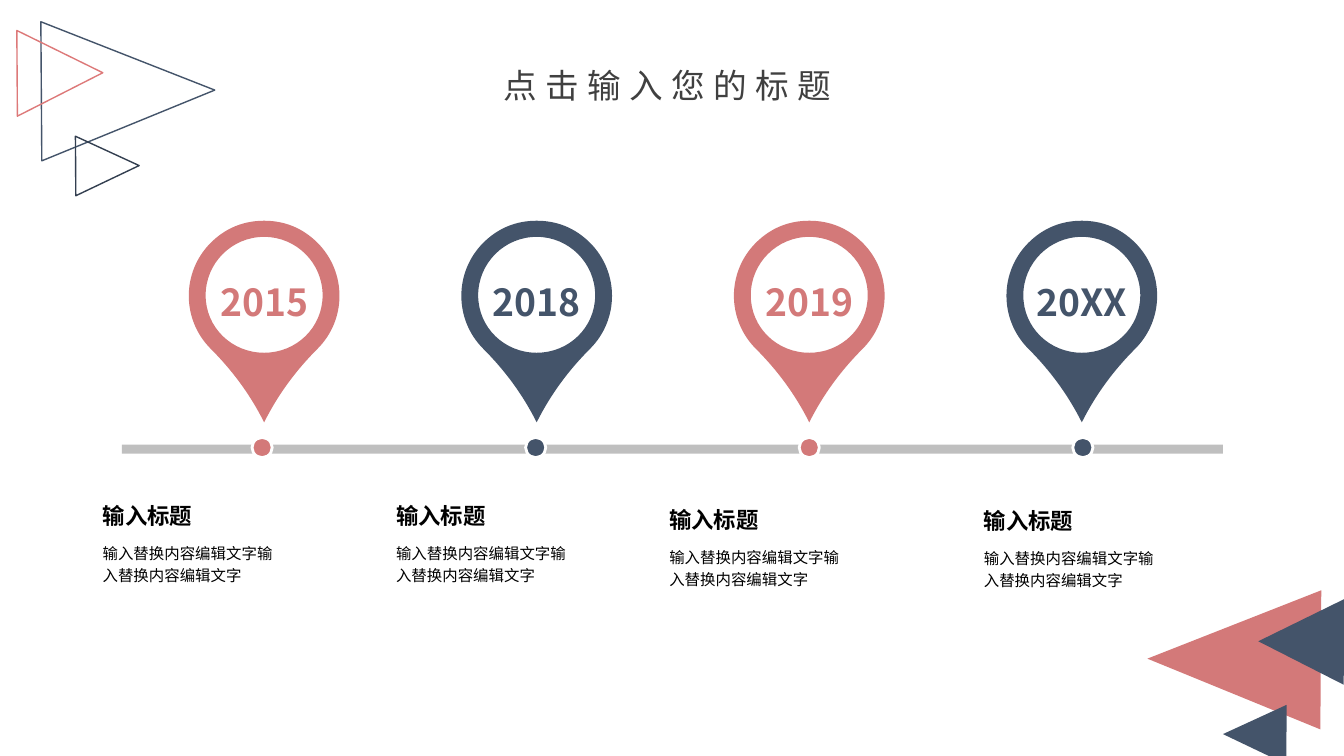
from lxml.etree import SubElement
from pptx import Presentation
from pptx.dml.color import RGBColor
from pptx.enum.shapes import MSO_SHAPE
from pptx.enum.text import MSO_ANCHOR, MSO_AUTO_SIZE, PP_ALIGN
from pptx.oxml.ns import qn
from pptx.util import Inches, Pt

FONT = "Noto Sans CJK SC"
ROSE = RGBColor(0xD3, 0x79, 0x79)
PINK = RGBColor(0xDD, 0x79, 0x79)
NAVY = RGBColor(0x44, 0x54, 0x6A)
DARK = RGBColor(0x33, 0x3F, 0x50)
GRAY = RGBColor(0xBF, 0xBF, 0xBF)
INK = RGBColor(0x40, 0x40, 0x40)
BLACK = RGBColor(0, 0, 0)
WHITE = RGBColor(255, 255, 255)

TITLE = "点击输入您的标题"
HEAD = "输入标题"
BODY = "输入替换内容编辑文字输入替换内容编辑文字"
STEPS = [
    ("2015", ROSE, 0.92, 4.93),
    ("2018", NAVY, 3.83, 4.93),
    ("2019", ROSE, 6.54, 4.97),
    ("20XX", NAVY, 9.66, 4.98),
]
SOLID = [
    ((11.55, 5.68, 1.38, 1.72), ROSE),
    ((12.15, 6.97, 0.59, 0.63), NAVY),
    ((12.48, 5.94, 0.85, 0.85), NAVY),
]
HOLLOW = [
    ((0.58, 0.04, 1.38, 1.72), NAVY),
    ((0.77, 1.33, 0.59, 0.63), DARK),
    ((0.17, 0.3, 0.85, 0.85), PINK),
]
HOLE = [
    (0, 16), (-32, 16), (-58, 42), (-58, 74), (-58, 106), (-32, 131), (0, 131),
    (32, 131), (58, 106), (58, 74), (58, 42), (32, 16), (0, 16),
]
RIM = [
    (0, 0), (20, 0), (38, 7), (53, 22), (82, 51), (82, 98), (53, 127),
    (32, 148), (14, 172), (0, 200), (-14, 172), (-32, 148), (-53, 127),
    (-82, 98), (-82, 51), (-53, 22), (-38, 7), (-20, 0), (0, 0),
]
PIN_W, PIN_H, PIN_TOP = 1.5, 2, 2.19
PIN_ENDS, DOT_ENDS = (1.87, 9.98), (2.5, 10.64)


def spread(ends, i):
    return ends[0] + (ends[1] - ends[0]) * i / (len(STEPS) - 1)


def paint(shape, fill=None, line=None, width=1):
    shape.shadow.inherit = False
    if fill is None:
        shape.fill.background()
    else:
        shape.fill.solid()
        shape.fill.fore_color.rgb = fill
    if line is None:
        shape.line.fill.background()
    else:
        shape.line.color.rgb = line
        shape.line.width = Pt(width)


def write(shape, text, size, color, bold=False, align=PP_ALIGN.LEFT):
    shape.text_frame.text = text
    para = shape.text_frame.paragraphs[0]
    para.alignment = align
    run = para.runs[0]
    font = run.font
    font.size, font.bold, font.name = Pt(size), bold, FONT
    font.color.rgb = color
    props = run._r.get_or_add_rPr()
    east = props.makeelement(qn("a:ea"), {"typeface": FONT})
    props.find(qn("a:latin")).addnext(east)
    return para, props


def inset(frame, side, bottom):
    frame.margin_left = frame.margin_right = Inches(side)
    frame.margin_top, frame.margin_bottom = 0, Inches(bottom)
    frame.vertical_anchor = MSO_ANCHOR.MIDDLE
    frame.word_wrap = True


def add(shapes, kind, box, turn=0, **look):
    shape = shapes.add_shape(kind, *map(Inches, box))
    shape.rotation = turn
    paint(shape, **look)


def put(parent, points):
    for x, y in points:
        SubElement(parent, qn("a:pt"), x=str(x + round(PIN_W * 50)), y=str(y))


def add_pin(shapes, left, year, color):
    x, y = Inches(left), Inches(PIN_TOP)
    right, low = x + Inches(PIN_W), y + Inches(PIN_H)
    form = shapes.build_freeform(x, y, scale=1.0)
    form.add_line_segments([(right, y), (right, low), (x, low)])
    pin = form.convert_to_shape()
    track = next(pin._element.iter(qn("a:path")))
    for part in list(track):
        track.remove(part)
    track.set("w", str(round(PIN_W * 100)))
    track.set("h", str(PIN_H * 100))
    for loop in (HOLE, RIM):
        put(SubElement(track, qn("a:moveTo")), loop[:1])
        for n in range(1, len(loop), 3):
            put(SubElement(track, qn("a:cubicBezTo")), loop[n:n + 3])
        SubElement(track, qn("a:close"))
    paint(pin, fill=color)
    inset(pin.text_frame, 0.1, 0.39)
    write(pin, year, 26.6, color, True, PP_ALIGN.CENTER)


def add_text(shapes, box, text, size, bold=False, space=None):
    label = shapes.add_textbox(*map(Inches, box))
    label.text_frame.word_wrap = True
    label.text_frame.auto_size = MSO_AUTO_SIZE.SHAPE_TO_FIT_TEXT
    para, _ = write(label, text, size, BLACK, bold)
    para.line_spacing = space


def main():
    deck = Presentation()
    deck.slide_width, deck.slide_height = Inches(13.33), Inches(7.5)
    slide = deck.slides.add_slide(deck.slide_layouts[5])
    shapes = slide.shapes

    title = shapes.title
    title.left, title.top = Inches(4.57), Inches(0.64)
    title.width, title.height = Inches(4.09), Inches(0.4)
    inset(title.text_frame, 0, 0)
    _, props = write(title, TITLE, 24, INK, align=PP_ALIGN.CENTER)
    props.set("spc", "600")

    add(shapes, MSO_SHAPE.RECTANGLE, (1.21, 4.41, 10.92, 0.09), fill=GRAY)
    for i, (_, color, _, _) in enumerate(STEPS):
        add(shapes, MSO_SHAPE.OVAL, (spread(DOT_ENDS, i), 4.34, 0.2, 0.2),
            fill=color, line=WHITE, width=2)
    for i, (year, color, _, _) in enumerate(STEPS):
        add_pin(shapes, spread(PIN_ENDS, i), year, color)
    for _, _, left, top in STEPS:
        group = shapes.add_group_shape().shapes
        add_text(group, (left, top + 0.38, 1.96, 0.52), BODY, 11, space=1.2)
        add_text(group, (left, top, 1.75, 0.37), HEAD, 16, True)

    group = shapes.add_group_shape().shapes
    for box, color in SOLID:
        add(group, MSO_SHAPE.ISOSCELES_TRIANGLE, box, 270.4, fill=color)
    group = shapes.add_group_shape().shapes
    for box, color in HOLLOW:
        add(group, MSO_SHAPE.ISOSCELES_TRIANGLE, box, 89.6, line=color)
    deck.save("out.pptx")


if __name__ == "__main__":
    main()
